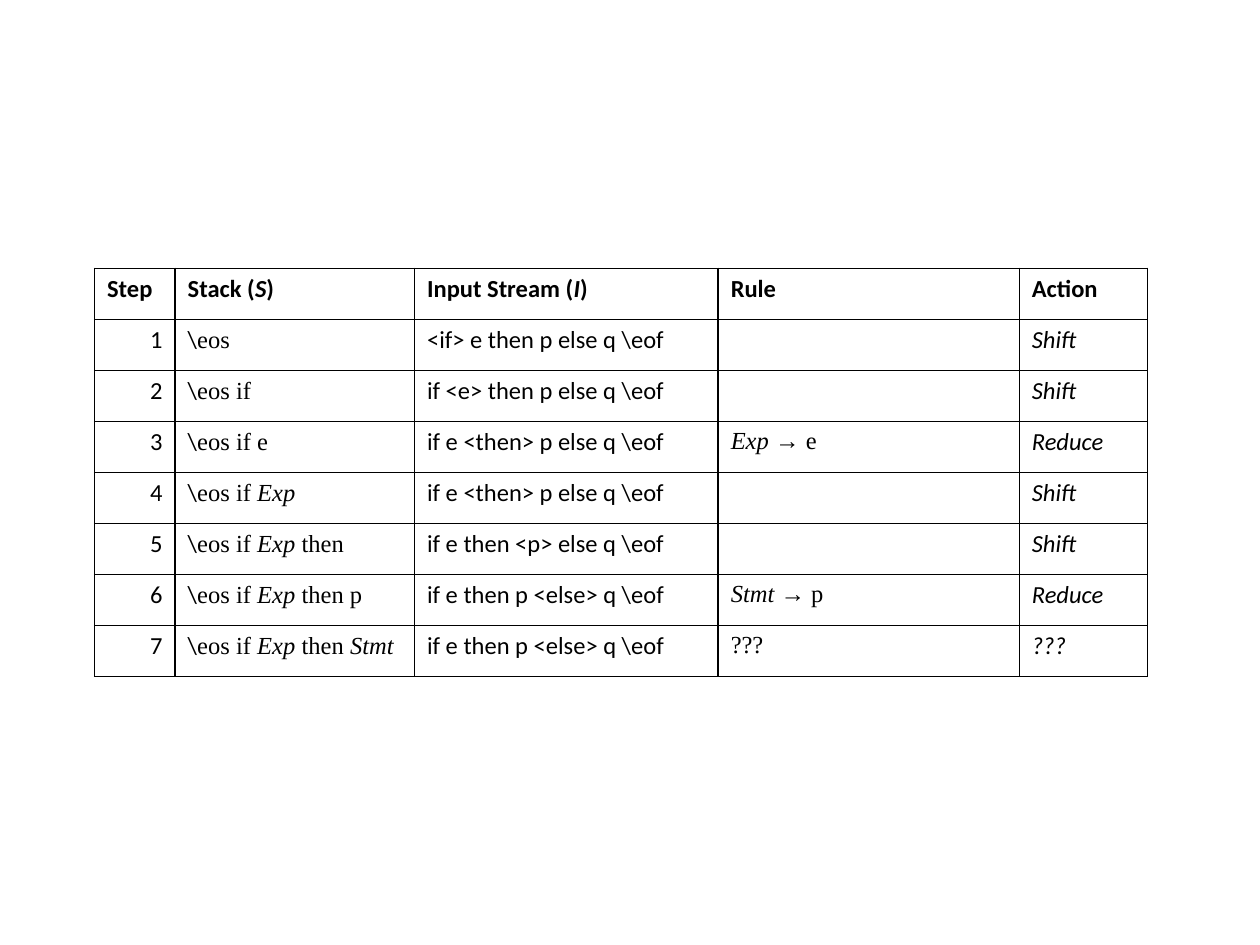
from lxml.etree import SubElement
from pptx import Presentation
from pptx.dml.color import RGBColor
from pptx.enum.text import PP_ALIGN
from pptx.oxml.ns import qn
from pptx.util import Inches, Pt

COLORS = {"ink": "000000"}
SANS, SERIF = "Calibri", "Times New Roman"
COLUMN_WIDTHS = [0.64, 1.9, 2.41, 2.39, 1.02]
TABLE_HEIGHT = 3.24
STEP, STACK, RULE = 0, 1, 3
HEADER = ["Step", "Stack (*S*)", "Input Stream (*I*)", "Rule", "Action"]
STEPS = [
    (r"\eos", r"<if> e then p else q \eof", "", "Shift"),
    (r"\eos if", r"if <e> then p else q \eof", "", "Shift"),
    (r"\eos if e", r"if e <then> p else q \eof", "*Exp *→ e", "Reduce"),
    (r"\eos if *Exp*", r"if e <then> p else q \eof", "", "Shift"),
    (r"\eos if *Exp *then", r"if e then <p> else q \eof", "", "Shift"),
    (r"\eos if *Exp *then p", r"if e then p <else> q \eof", "*Stmt *→ p", "Reduce"),
    (r"\eos if *Exp *then *Stmt*", r"if e then p <else> q \eof", "???", "???"),
]


def add_runs(paragraph, marked_text, font_name=None):
    """Add runs to a paragraph, with text between asterisks in italics."""
    for index, text in enumerate(marked_text.split("*")):
        if text:
            run = paragraph.add_run()
            run.text = text
            if font_name:
                run.font.name = font_name
            if index % 2:
                run.font.italic = True


def style_paragraph(paragraph, font_name=SANS, bold=False, italic=None):
    """Set the font shared by all runs of a cell's paragraph."""
    font = paragraph.font
    font.name = font_name
    font.size = Pt(14)
    font.bold = bold
    font.italic = italic
    font.color.rgb = RGBColor.from_string(COLORS["ink"])


def frame_cell(cell):
    """Give a cell thin borders on all sides and no fill."""
    properties = cell._tc.get_or_add_tcPr()
    for side in ("a:lnL", "a:lnR", "a:lnT", "a:lnB"):
        line = SubElement(properties, qn(side), w=str(Pt(1)))
        fill = SubElement(line, qn("a:solidFill"))
        SubElement(fill, qn("a:srgbClr"), val=COLORS["ink"])
    cell.fill.background()


def fill_header(cell, text):
    """Write a bold column heading."""
    paragraph = cell.text_frame.paragraphs[0]
    style_paragraph(paragraph, bold=True)
    add_runs(paragraph, text)


def fill_body(cell, column, text):
    """Write one value of a parsing step in the style of its column."""
    paragraph = cell.text_frame.paragraphs[0]
    style_paragraph(
        paragraph,
        font_name=SERIF if column == RULE else SANS,
        italic=True if column == len(HEADER) - 1 else None,
    )
    if column == STEP:
        paragraph.alignment = PP_ALIGN.RIGHT
    if column == STACK:
        add_runs(paragraph, text[0])
        add_runs(paragraph, text[1:], SERIF)
    else:
        add_runs(paragraph, text)


def add_parse_table(slide):
    """Add the table of shift-reduce parsing steps."""
    row_count = len(STEPS) + 1
    table = slide.shapes.add_table(
        row_count, len(HEADER), Inches(0.75), Inches(2.13),
        Inches(sum(COLUMN_WIDTHS)), Inches(TABLE_HEIGHT),
    ).table
    table.first_row = False
    table.horz_banding = False
    for column, width in zip(table.columns, COLUMN_WIDTHS):
        column.width = Inches(width)
    for row in table.rows:
        row.height = Inches(TABLE_HEIGHT / row_count)
    for cell in table.iter_cells():
        frame_cell(cell)
    for column, heading in enumerate(HEADER):
        fill_header(table.cell(0, column), heading)
    for number, values in enumerate(STEPS, start=1):
        for column, text in enumerate((str(number), *values)):
            fill_body(table.cell(number, column), column, text)


def main():
    """Build and save the slide."""
    presentation = Presentation()
    presentation.slide_width = Inches(10)
    presentation.slide_height = Inches(7.5)
    slide = presentation.slides.add_slide(presentation.slide_layouts[6])
    add_parse_table(slide)
    presentation.save("out.pptx")


if __name__ == "__main__":
    main()
